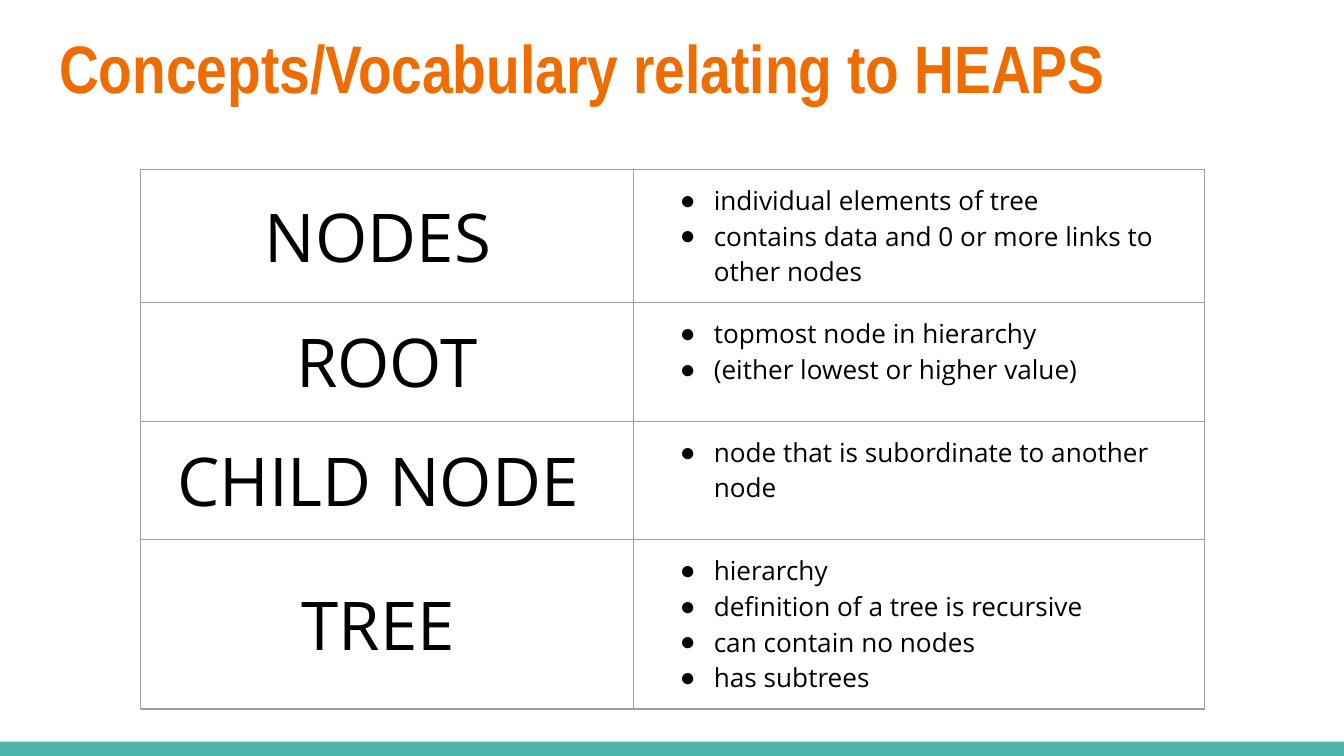
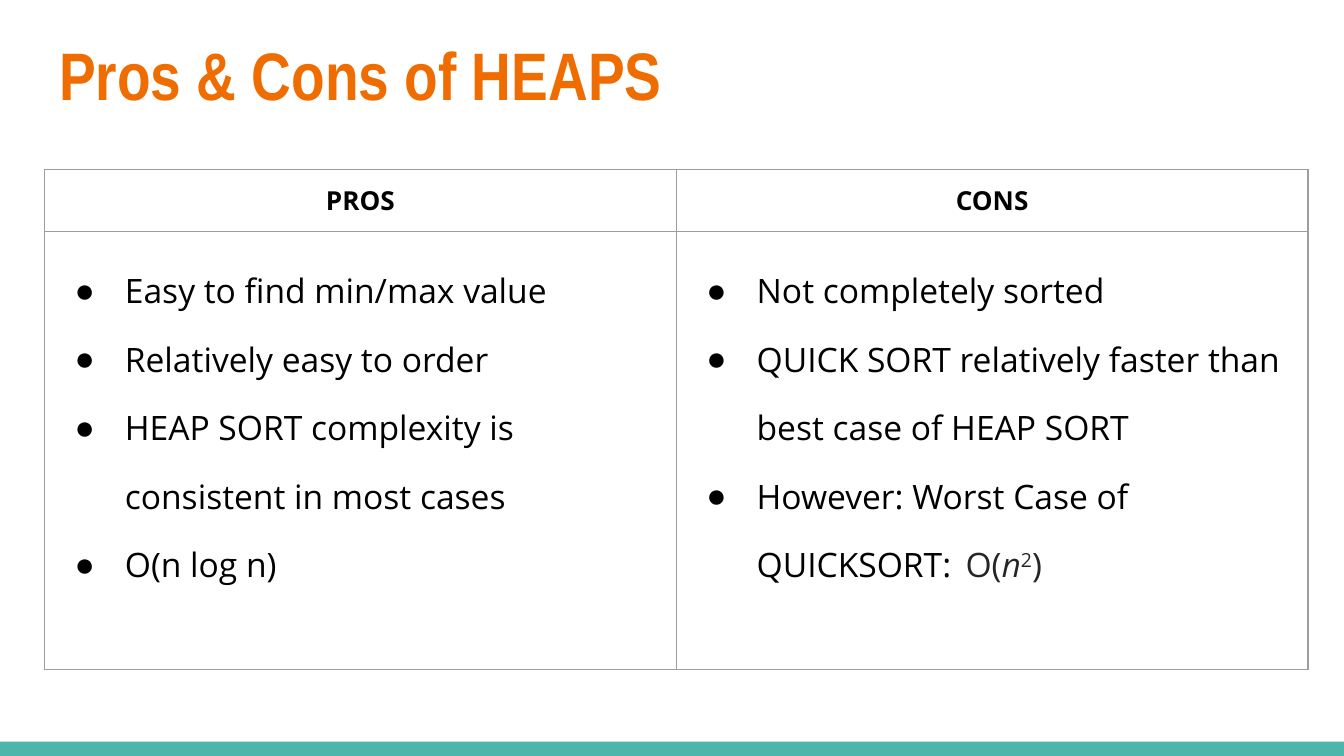
from lxml.etree import SubElement
from pptx import Presentation
from pptx.dml.color import RGBColor
from pptx.enum.shapes import MSO_SHAPE
from pptx.enum.text import MSO_ANCHOR, PP_ALIGN
from pptx.oxml.ns import qn
from pptx.util import Cm, Pt

ORANGE = RGBColor(0xEF, 0x6C, 0x00)
TEAL = RGBColor(0x4D, 0xB6, 0xAC)
GREY = RGBColor(0x9E, 0x9E, 0x9E)
CHARCOAL = RGBColor(0x25, 0x25, 0x25)
BLACK = RGBColor(0, 0, 0)
WHITE = RGBColor(0xFF, 0xFF, 0xFF)

TITLE_FONT = "Arial Narrow"
BODY_FONT = "Open Sans"
SYMBOL_FONT = "Arial"
WIDTH, HEIGHT = Cm(25.4), Cm(14.29)
BAND_HEIGHT = Cm(0.27)
PADDING = Cm(0.25)
TABLE_TOP = Cm(3.2)

# Term, row height, meanings
VOCABULARY = [
    ("NODES ", Cm(2.52), ["individual elements of tree",
                          "contains data and 0 or more links to other nodes"]),
    ("ROOT", Cm(2.24), ["topmost node in hierarchy",
                        "(either lowest or higher value)"]),
    ("CHILD NODE ", Cm(2.24), ["node that is subordinate to another node"]),
    ("TREE ", Cm(3.2), ["hierarchy", "definition of a tree is recursive",
                        "can contain no nodes", "has subtrees"]),
]
PROS = ["Easy to find min/max value", "Relatively easy to order",
        "HEAP SORT complexity is consistent in most cases", "O(n log n)"]
CONS = ["Not completely sorted",
        "QUICK SORT relatively faster than best case of HEAP SORT",
        "However: Worst Case of QUICKSORT: "]
WORST_CASE = [
    (" ", {"size": 10.5, "font": SYMBOL_FONT}),
    ("O(", {}),
    ("n", {"italic": True}),
    ("2", {"baseline": 30}),
    (")", {}),
]


def write(paragraph, text, size=14, font=BODY_FONT, color=BLACK,
          bold=False, italic=False, baseline=0, align=None):
    """Add one formatted run to a paragraph."""
    run = paragraph.add_run()
    run.text = text
    run.font.size = Pt(size)
    run.font.name = font
    run.font.color.rgb = color
    run.font.bold = bold
    run.font.italic = italic
    if baseline:
        run.font._element.set("baseline", str(baseline * 1000))
    if align is not None:
        paragraph.alignment = align


def pad(frame):
    frame.margin_left = frame.margin_right = PADDING
    frame.margin_top = frame.margin_bottom = PADDING


def add_bullets(cell, items, size, hanging, spacing=None):
    """Fill a cell with a bulleted list and return its last paragraph."""
    frame = cell.text_frame
    for number, item in enumerate(items):
        paragraph = frame.add_paragraph() if number else frame.paragraphs[0]
        if spacing:
            paragraph.line_spacing = spacing
        properties = paragraph._p.get_or_add_pPr()
        properties.set("marL", str(Cm(1.27)))
        properties.set("indent", str(-hanging))
        SubElement(properties, qn("a:buFont"), typeface=SYMBOL_FONT)
        SubElement(properties, qn("a:buChar"), char="●")
        write(paragraph, item, size=size)
    return paragraph


def style_cell(cell):
    """Give a cell thin grey borders, no fill and even margins."""
    pad(cell)
    properties = cell._tc.get_or_add_tcPr()
    for side in ("lnL", "lnR", "lnT", "lnB"):
        line = SubElement(properties, qn(f"a:{side}"), w=str(Pt(0.75)))
        fill = SubElement(line, qn("a:solidFill"))
        SubElement(fill, qn("a:srgbClr"), val=str(GREY))
    cell.fill.background()


def add_grid(slide, left, top, widths, heights):
    """Add a plain bordered table."""
    table = slide.shapes.add_table(len(heights), len(widths), left, top,
                                   sum(widths), sum(heights)).table
    table.first_row = table.horz_banding = False
    for column, width in zip(table.columns, widths):
        column.width = width
    for row, height in zip(table.rows, heights):
        row.height = height
    for cell in table.iter_cells():
        style_cell(cell)
    return table


def add_base(presentation, title, title_top):
    """Add a slide with the shared background, bottom band and title."""
    slide = presentation.slides.add_slide(presentation.slide_layouts[6])
    slide.background.fill.solid()
    slide.background.fill.fore_color.rgb = WHITE
    band = slide.shapes.add_shape(MSO_SHAPE.RECTANGLE, 0, HEIGHT - BAND_HEIGHT,
                                  WIDTH, BAND_HEIGHT)
    band.shadow.inherit = False
    band.fill.solid()
    band.fill.fore_color.rgb = TEAL
    band.line.fill.background()

    box = slide.shapes.add_textbox(Cm(0.87), title_top, Cm(23.67), Cm(1.96))
    box.text_frame.word_wrap = True
    pad(box.text_frame)
    write(box.text_frame.paragraphs[0], title, size=36, font=TITLE_FONT,
          color=ORANGE, bold=True)
    return slide


def add_vocabulary_slide(presentation):
    slide = add_base(presentation, "Concepts/Vocabulary relating to HEAPS", Cm(0.25))
    table = add_grid(slide, Cm(2.65), TABLE_TOP, [Cm(9.32), Cm(10.79)],
                     [height for _, height, _ in VOCABULARY])
    for row, (term, _, meanings) in enumerate(VOCABULARY):
        cell = table.cell(row, 0)
        cell.vertical_anchor = MSO_ANCHOR.MIDDLE
        write(cell.text_frame.paragraphs[0], term, size=36, align=PP_ALIGN.CENTER)
        add_bullets(table.cell(row, 1), meanings, 14, Cm(0.64))


def add_comparison_slide(presentation):
    slide = add_base(presentation, "Pros & Cons of HEAPS", Cm(0.38))
    table = add_grid(slide, Cm(0.84), TABLE_TOP, [Cm(11.94)] * 2,
                     [Cm(1.18), Cm(8.28)])
    for column, (heading, items) in enumerate([("PROS", PROS), ("CONS", CONS)]):
        write(table.cell(0, column).text_frame.paragraphs[0], heading,
              bold=True, align=PP_ALIGN.CENTER)
        paragraph = add_bullets(table.cell(1, column), items, 18, Cm(0.95), 1.5)
    # Complexity formula closing the last point
    for text, style in WORST_CASE:
        write(paragraph, text, **{"size": 18, "color": CHARCOAL, **style})


def main():
    presentation = Presentation()
    presentation.slide_width, presentation.slide_height = WIDTH, HEIGHT
    add_vocabulary_slide(presentation)
    add_comparison_slide(presentation)
    presentation.save("out.pptx")


if __name__ == "__main__":
    main()
